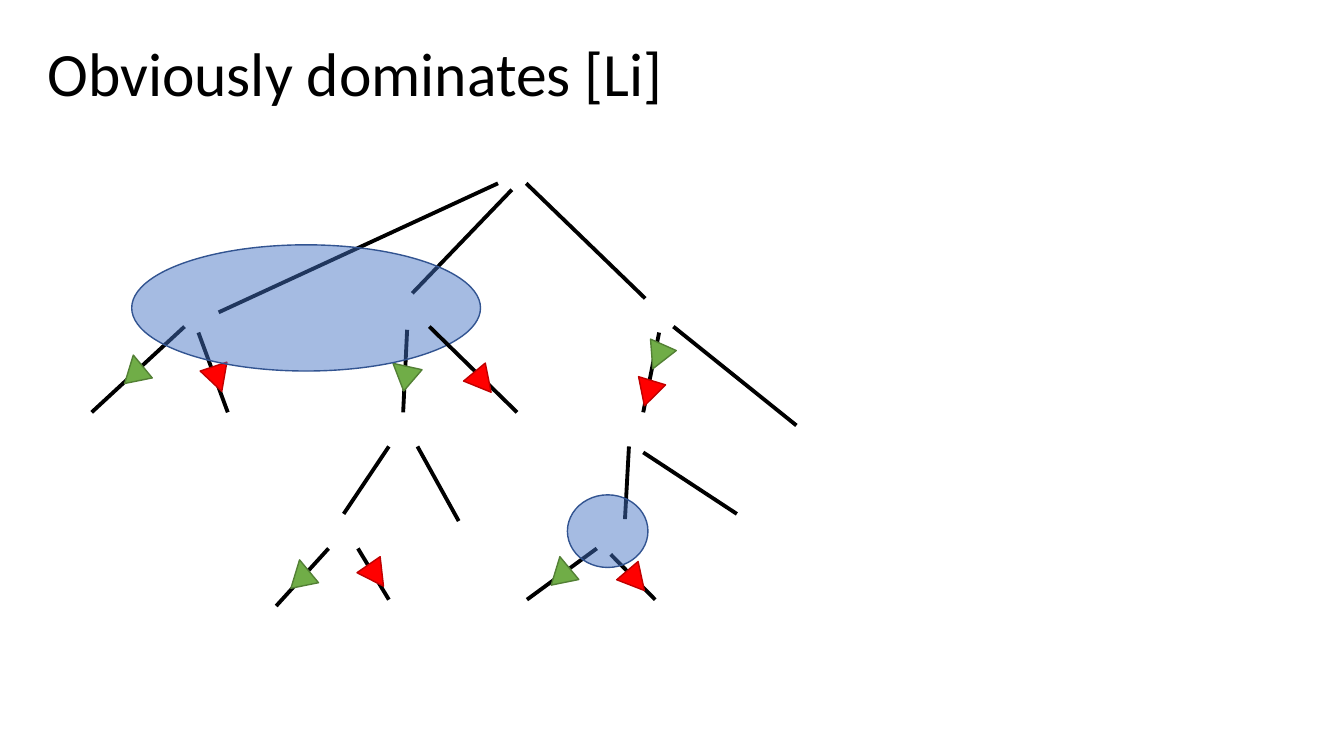
import pptx
import pptx.dml.color
import pptx.enum.shapes
import pptx.enum.text
import pptx.oxml.ns
import pptx.util
from lxml import etree

Cm = pptx.util.Cm
Pt = pptx.util.Pt
SHAPES = pptx.enum.shapes.MSO_SHAPE

COLOURS = {
    "ink": "000000",
    "green": "70AD47",
    "green edge": "538035",
    "red": "FF0000",
    "red edge": "C00000",
    "set": "4472C4",
    "set edge": "325491",
}


class TreeSlide:
    """Holds the style and the current slide, and draws the parts of a game tree."""

    font = "Calibri"
    marker_size = (0.71, 0.66)

    def __init__(self, deck):
        self.slide = deck.slides.add_slide(deck.slide_layouts[5])

    def colour(self, name):
        return pptx.dml.color.RGBColor.from_string(COLOURS[name])

    def title(self, wording, left, top, width, height):
        heading = self.slide.shapes.title
        heading.left, heading.top = Cm(left), Cm(top)
        heading.width, heading.height = Cm(width), Cm(height)
        frame = heading.text_frame
        frame.word_wrap = True
        frame.vertical_anchor = pptx.enum.text.MSO_ANCHOR.MIDDLE
        paragraph = frame.paragraphs[0]
        paragraph.alignment = pptx.enum.text.PP_ALIGN.LEFT
        paragraph.line_spacing = 0.9
        run = paragraph.add_run()
        run.text = wording
        run.font.name = self.font
        run.font.size = Pt(44)
        run.font.color.rgb = self.colour("ink")

    def branch(self, *ends):
        branch = self.slide.shapes.add_connector(
            pptx.enum.shapes.MSO_CONNECTOR.STRAIGHT, *map(Cm, ends))
        branch.line.color.rgb = self.colour("ink")
        branch.line.width = Pt(2.75)
        properties = branch._element.spPr
        etree.SubElement(properties, pptx.oxml.ns.qn("a:effectLst"))

    def outlined(self, kind, colour, left, top, width, height):
        shape = self.slide.shapes.add_shape(
            kind, Cm(left), Cm(top), Cm(width), Cm(height))
        shape.shadow.inherit = False
        shape.fill.solid()
        shape.fill.fore_color.rgb = self.colour(colour)
        shape.line.color.rgb = self.colour(colour + " edge")
        shape.line.width = Pt(1)
        return shape

    def marker(self, colour, left, top, rotation):
        marker = self.outlined(
            SHAPES.ISOSCELES_TRIANGLE, colour, left, top, *self.marker_size)
        marker.rotation = rotation

    def information_set(self, left, top, width, height):
        oval = self.outlined(SHAPES.OVAL, "set", left, top, width, height)
        tint = oval._element.spPr.find(
            f"{pptx.oxml.ns.qn('a:solidFill')}/{pptx.oxml.ns.qn('a:srgbClr')}")
        etree.SubElement(tint, pptx.oxml.ns.qn("a:alpha"), val="48000")


BRANCHES = [
    (12.55, 4.62, 5.51, 7.87), (12.9, 4.78, 10.39, 7.39), (13.26, 4.62, 16.26, 7.52),
    (5, 8.38, 5.74, 10.39), (4.65, 8.23, 2.31, 10.39),
    (10.26, 8.31, 10.16, 10.39),
    (16.61, 8.38, 16.21, 10.39), (16.97, 8.23, 20.07, 10.72),
    (9.8, 11.25, 8.66, 12.95), (10.52, 11.25, 11.56, 13.13),
    (8.28, 13.82, 6.96, 15.27), (9.02, 13.82, 9.8, 15.11),
    (15.85, 11.25, 15.75, 13.08), (16.21, 11.4, 18.57, 12.95),
    (15.04, 13.82, 13.28, 15.11), (15.39, 13.97, 16.51, 15.11),
]

MARKERS = {
    "green": [
        (3.07, 8.94, 348.6), (9.8, 9.04, 310.7), (7.26, 14.1, 348.6),
        (13.82, 14.02, 348.6), (16.23, 8.66, 203.9),
    ],
    "red": [
        (9.12, 14.17, 145.3), (5.13, 9.22, 161.6),
        (15.98, 9.58, 196.9), (15.67, 14.3, 139.5),
    ],
}


def main():
    deck = pptx.Presentation()
    deck.slide_width, deck.slide_height = Cm(33.87), Cm(19.05)
    tree = TreeSlide(deck)
    tree.title("Obviously dominates [Li]", 0.94, 0.1, 29.21, 3.68)
    for ends in BRANCHES:
        tree.branch(*ends)
    for colour, places in MARKERS.items():
        for place in places:
            tree.marker(colour, *place)
    tree.information_set(3.32, 6.17, 8.79, 3.18)
    tree.branch(10.82, 8.23, 13.03, 10.39)
    tree.marker("red", 11.81, 9.3, 140.4)
    tree.information_set(14.3, 12.47, 2.03, 1.83)
    deck.save("out.pptx")


if __name__ == "__main__":
    main()
